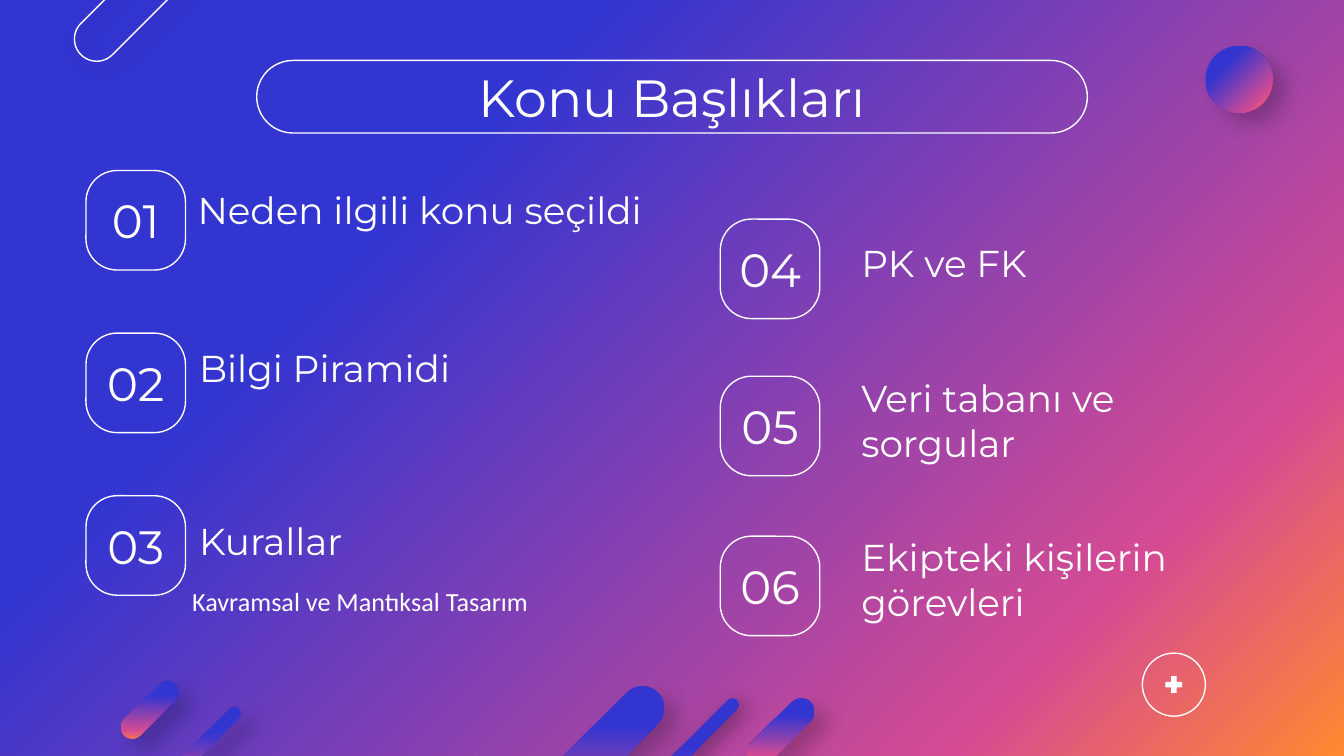
"""Build the topic overview slide with six numbered headings."""
import lxml.etree
import pptx
import pptx.dml.color
import pptx.enum.shapes
import pptx.enum.text
import pptx.oxml.ns
import pptx.util

Pt = pptx.util.Pt
RGB = pptx.dml.color.RGBColor.from_string
KIND = pptx.enum.shapes.MSO_SHAPE
ALIGN = pptx.enum.text.PP_ALIGN
qn = pptx.oxml.ns.qn
THEME = {
    "ink": "FFFFFF",
    "shade": "000000",
    "stops": [(0, "3335D1"), (29, "3335D1"), (81, "D54B93"), (100, "FF882F")],
    "face": "Montserrat",
    "plain": "Calibri",
    "head": 28,
    "num": 25,
    "topic": 20,
    "note": 14,
}


def paint(fill, node):
    fill.gradient()
    fill.gradient_angle = 315
    ramp = node.find(".//" + qn("a:gsLst"))
    for stop in list(ramp):
        ramp.remove(stop)
    for place, tone in THEME["stops"]:
        stop = lxml.etree.SubElement(ramp, qn("a:gs"), pos=str(place * 1000))
        lxml.etree.SubElement(stop, qn("a:srgbClr"), val=tone)


def write(box, area, text, size, face=THEME["face"], align=ALIGN.LEFT, pad=7.2, indent=(0, 0)):
    box.left, box.top, box.width, box.height = map(Pt, area)
    frame = box.text_frame
    frame.text = text
    frame.word_wrap = True
    frame.auto_size = pptx.enum.text.MSO_AUTO_SIZE.NONE
    frame.vertical_anchor = pptx.enum.text.MSO_ANCHOR.MIDDLE
    frame.margin_left = frame.margin_right = Pt(pad)
    frame.margin_top = frame.margin_bottom = Pt(7.2)
    para = frame.paragraphs[0]
    para.alignment = align
    para.line_spacing = 1.0
    para.space_before = Pt(0)
    prop = para._p.get_or_add_pPr()
    prop.set("marL", str(Pt(indent[0])))
    prop.set("indent", str(Pt(indent[1])))
    lxml.etree.SubElement(prop, qn("a:buNone"))
    font = para.runs[0].font
    font.name = face
    font.size = Pt(size)
    font.bold = False
    font.color.rgb = RGB(THEME["ink"])


deck = pptx.Presentation()
deck.slide_width, deck.slide_height = Pt(720), Pt(405)
slide = deck.slides.add_slide(deck.slide_layouts[4])
paint(slide.background.fill, slide._element)

PILL, DISC, PLUS = KIND.ROUNDED_RECTANGLE, KIND.OVAL, KIND.MATH_PLUS
soft, near = (22, 9), (40, 3.8)
left = [(46.1, 91.4 + 87.1 * row) for row in range(3)]
right = [(385.9, top) for top in (117.4, 201.6, 287.3)]
tiles = left + right

shapes = [
    (PILL, (303.8, 355.7, 23.8, 104.4), 45, 0.5, "ramp", soft),
    (DISC, (612, 349.9, 33.8, 33.8), 0, None, "line", None),
    (PLUS, (622.8, 360.7, 12.2, 12.2), 0, 0.235, "ink", None),
    (PILL, (346.3, 356.4, 7.2, 127.4), 45, 0.5, "ramp", near),
    (PILL, (68.4, -59.8, 23.8, 104.4), 45, 0.5, "line", near),
    (PILL, (74.2, 360.7, 12.2, 38.9), 45, 0.5, "ramp", soft),
    (PILL, (100.1, 369.4, 7.2, 69.1), 45, 0.5, "ramp", soft),
    (PILL, (411.1, 369.4, 14.4, 45.4), 45, 0.5, "ramp", soft),
    (DISC, (645.8, 24.5, 36, 36), 0, None, "ramp", soft),
    (PILL, (137.5, 32.4, 445, 38.9), 0, 0.5, "line", None),
]
shapes += [(PILL, (x, y, 53.3, 53.3), 0, 0.312, "line", None) for x, y in tiles]

for kind, area, turn, bend, look, cast in shapes:
    shape = slide.shapes.add_shape(kind, *map(Pt, area))
    shape.rotation = turn
    shape.shadow.inherit = False
    if bend is not None:
        shape.adjustments[0] = bend
    if look == "ramp":
        paint(shape.fill, shape._element)
    elif look == "ink":
        shape.fill.solid()
        shape.fill.fore_color.rgb = RGB(THEME["ink"])
    else:
        shape.fill.background()
    if look == "line":
        shape.line.color.rgb = RGB(THEME["ink"])
        shape.line.width = Pt(0.75)
    else:
        shape.line.fill.background()
    if cast:
        alpha, dist = cast
        glow = lxml.etree.SubElement(
            shape._element.spPr.find(qn("a:effectLst")), qn("a:outerShdw"),
            blurRad=str(Pt(11.2)), dist=str(Pt(dist)), dir="2400000",
            algn="bl", rotWithShape="0")
        tone = lxml.etree.SubElement(glow, qn("a:srgbClr"), val=THEME["shade"])
        lxml.etree.SubElement(tone, qn("a:alpha"), val=str(alpha * 1000))

for count, (x, y) in enumerate(tiles, 1):
    box = slide.shapes.add_textbox(0, 0, 0, 0)
    write(box, (x + 3.6, y + 3.6, 46.1, 46.1), f"{count:02}", THEME["num"],
          align=ALIGN.CENTER, pad=0)

write(slide.shapes.title, (56.2, 33.8, 607.7, 36), "Konu Başlıkları",
      THEME["head"], align=ALIGN.CENTER)

topics = [
    ("Neden ilgili konu seçildi", (88.6, 98.6, 297.4, 27.4), (36, -26)),
    ("Bilgi Piramidi", (99.4, 187.2, 236.2, 19.4), (0, 0)),
    ("Kurallar", (99.4, 279.4, 236.2, 20.2), (0, 0)),
    ("PK ve FK", (454.3, 131.8, 236.2, 18), (0, 0)),
    ("Veri tabanı ve sorgular", (454.3, 216, 236.2, 18), (0, 0)),
    ("Ekipteki kişilerin görevleri", (454.3, 301, 236.2, 18), (0, 0)),
]
bodies = [item for item in slide.placeholders if item.placeholder_format.idx in range(1, 5)]
for text, area, indent in topics:
    box = bodies.pop(0) if bodies else slide.shapes.add_textbox(0, 0, 0, 0)
    write(box, area, text, THEME["topic"], indent=indent)

note = slide.shapes.add_textbox(0, 0, 0, 0)
write(note, (95.8, 306, 229, 31.7), "Kavramsal ve Mantıksal Tasarım",
      THEME["note"], face=THEME["plain"])

deck.save("out.pptx")
